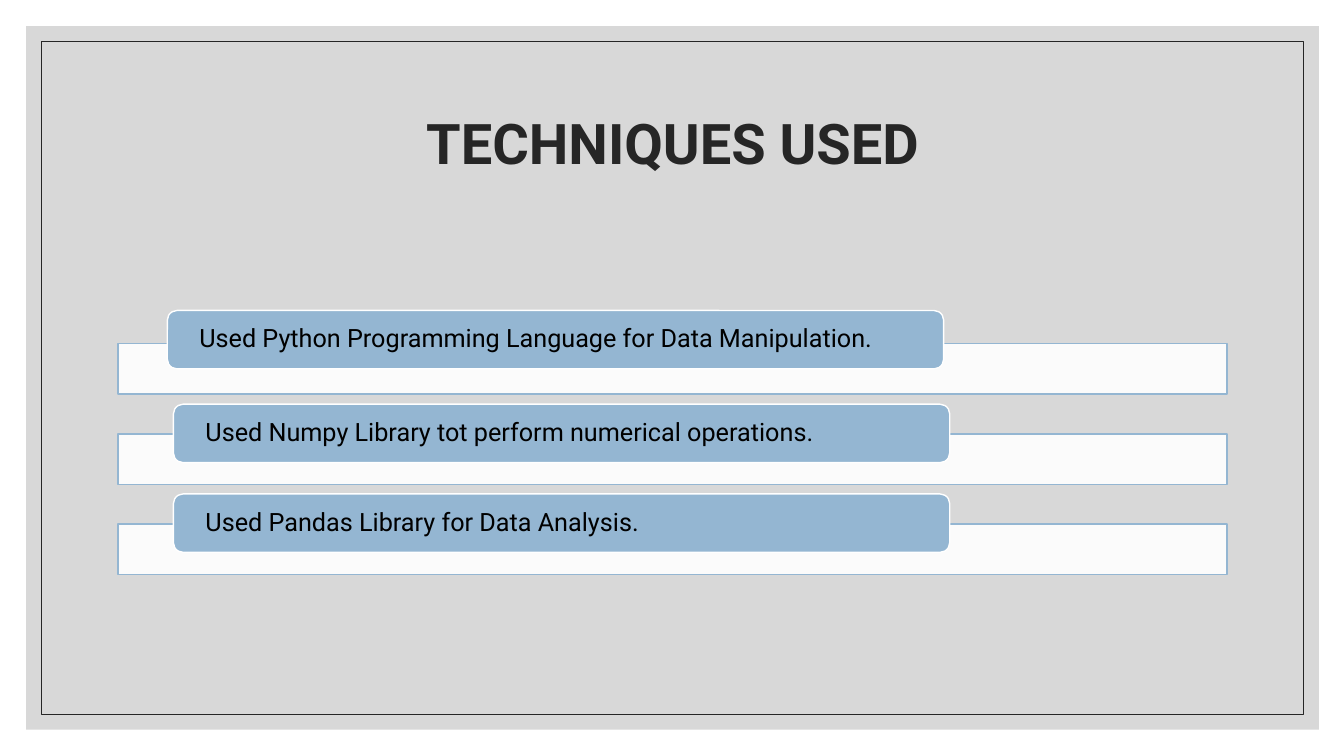
import pptx
import pptx.util
import pptx.dml.color
import pptx.enum.shapes
import pptx.enum.text
import pptx.oxml
import pptx.oxml.ns
import lxml.etree

Inches = pptx.util.Inches
Pt = pptx.util.Pt
RGB = pptx.dml.color.RGBColor.from_string
MSO_SHAPE = pptx.enum.shapes.MSO_SHAPE

COLORS = {
    "frame": "BFBFBF",
    "ink": "262626",
    "blue": "94B6D2",
    "white": "FFFFFF",
    "black": "000000",
}

prs = pptx.Presentation()
prs.slide_width = Inches(13.33)
prs.slide_height = Inches(7.5)
slide = prs.slides.add_slide(prs.slide_layouts[6])


def add_box(kind, left, top, width, height, fill=None, alpha=100, line=None, weight=1):
    sp = slide.shapes.add_shape(kind, Inches(left), Inches(top), Inches(width), Inches(height))
    sp.shadow.inherit = False
    if fill:
        sp.fill.solid()
        sp.fill.fore_color.rgb = RGB(COLORS[fill])
        if alpha < 100:
            clr = sp.fill._xPr.find(".//" + pptx.oxml.ns.qn("a:srgbClr"))
            lxml.etree.SubElement(clr, pptx.oxml.ns.qn("a:alpha"), val=str(alpha * 1000))
    else:
        sp.fill.background()
    if line:
        sp.line.color.rgb = RGB(COLORS[line])
        sp.line.width = Pt(weight)
    else:
        sp.line.fill.background()
    return sp


def add_text(sp, text, size, color, align, bold=False):
    tf = sp.text_frame
    tf.word_wrap = True
    tf.vertical_anchor = pptx.enum.text.MSO_ANCHOR.MIDDLE
    p = tf.paragraphs[0]
    p.alignment = align
    p.line_spacing = 0.9
    r = p.add_run()
    r.text = text
    r.font.name = "Roboto"
    r.font.size = Pt(size)
    r.font.bold = bold
    r.font.color.rgb = RGB(COLORS[color])
    return tf


add_box(MSO_SHAPE.RECTANGLE, 0.26, 0.26, 12.82, 6.98, fill="frame", alpha=60)
add_box(MSO_SHAPE.RECTANGLE, 0.41, 0.41, 12.52, 6.68, line="ink", weight=0.5)

title = slide.shapes.add_textbox(Inches(1.17), Inches(0.7), Inches(11), Inches(1.5))
add_text(title, "TECHNIQUES USED", 40, "ink", pptx.enum.text.PP_ALIGN.CENTER, bold=True)

techniques = [
    ("Used Python Programming Language for Data Manipulation.", 1.66, 3.08),
    ("Used Numpy Library tot perform numerical operations.", 1.72, 4.01),
    ("Used Pandas Library for Data Analysis.", 1.72, 4.9),
]
for i, (text, left, top) in enumerate(techniques):
    add_box(MSO_SHAPE.RECTANGLE, 1.17, 3.41 + i * 0.895, 11, 0.5,
            fill="white", alpha=90, line="blue")
    label = add_box(MSO_SHAPE.ROUNDED_RECTANGLE, left, top, 7.7, 0.58,
                    fill="blue", line="white")
    tf = add_text(label, text, 18, "black", pptx.enum.text.PP_ALIGN.LEFT)
    tf.margin_left = tf.margin_right = Inches(0.29)
    tf.margin_top = tf.margin_bottom = 0

prs.save("out.pptx")
